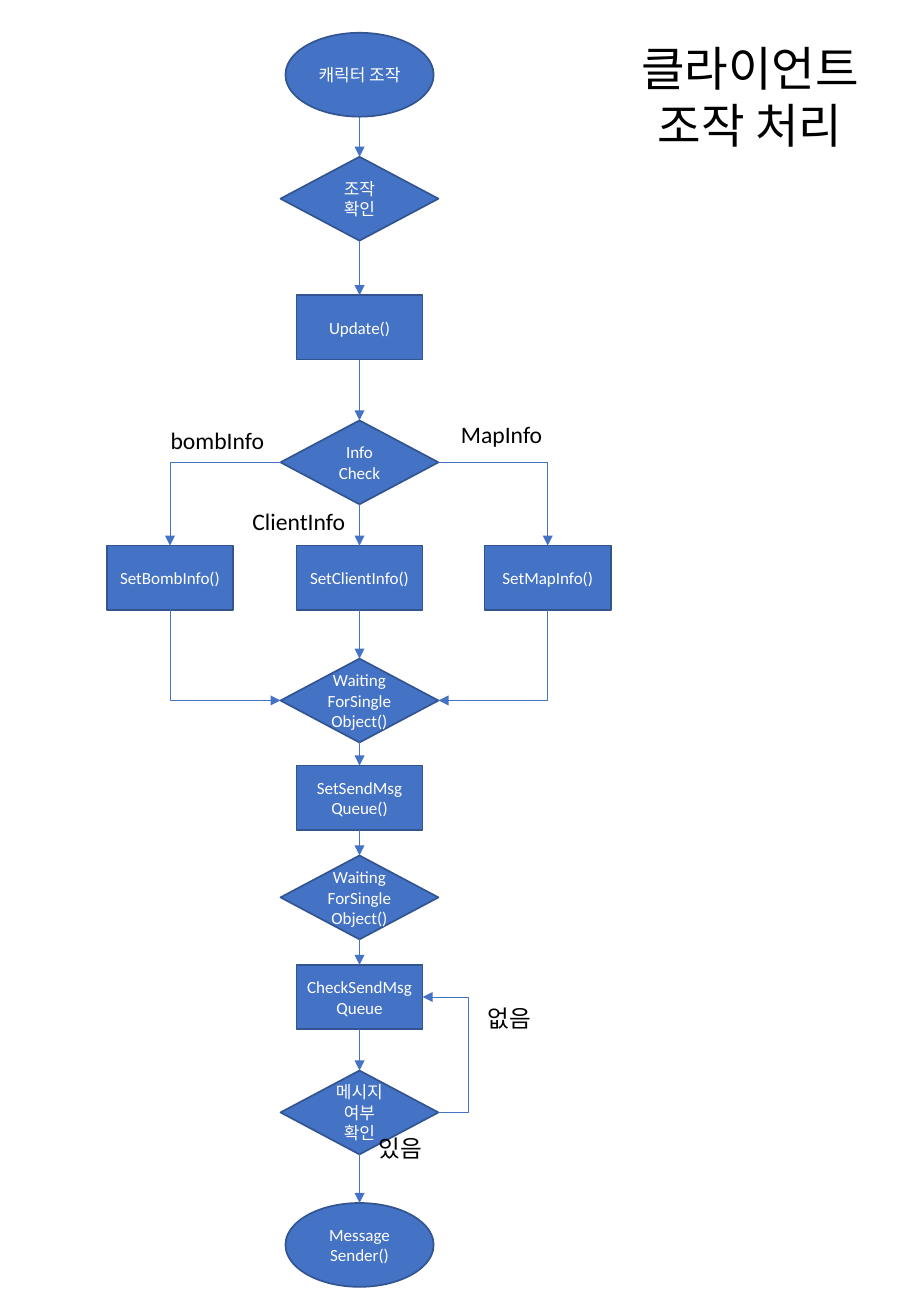
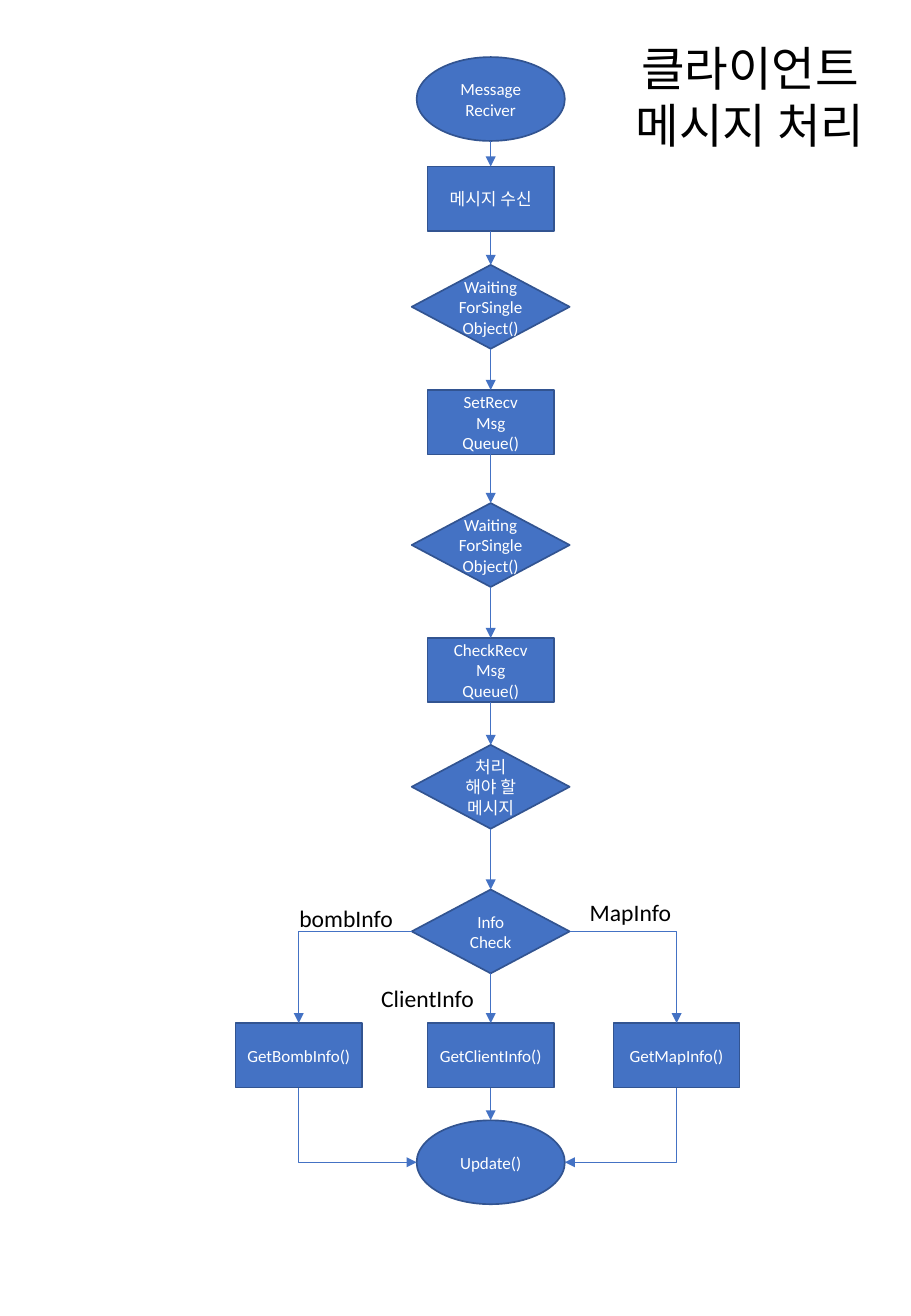
"""Build two flowcharts of client input and client message handling."""
from dataclasses import dataclass

from lxml import etree
from pptx import Presentation
from pptx.dml.color import RGBColor
from pptx.enum.shapes import MSO_CONNECTOR, MSO_SHAPE
from pptx.enum.text import MSO_ANCHOR, MSO_AUTO_SIZE, PP_ALIGN
from pptx.oxml.ns import qn
from pptx.util import Inches, Pt

OVAL, RHOMB, BOX = MSO_SHAPE.OVAL, MSO_SHAPE.DIAMOND, MSO_SHAPE.RECTANGLE
STRAIGHT, ELBOW = MSO_CONNECTOR.STRAIGHT, MSO_CONNECTOR.ELBOW
TOP, MIDDLE = MSO_ANCHOR.TOP, MSO_ANCHOR.MIDDLE
CENTER, GROW = PP_ALIGN.CENTER, MSO_AUTO_SIZE.SHAPE_TO_FIT_TEXT
UP, LEFT, DOWN, RIGHT = range(4)


@dataclass(frozen=True)
class Theme:
    font: str = "Calibri"
    fill: str = "4472C4"
    edge: str = "325491"
    dark: str = "000000"
    light: str = "FFFFFF"
    title: float = 28.1
    label: float = 14
    node: float = 10.1
    rim: float = 1
    wire: float = 0.5


THEME = Theme()
PAGE = 7.5, 10.83
TITLE = 5.03, 0.27, 2.29, 1.05
SIZES = {OVAL: (1.22, 0.69), RHOMB: (1.3, 0.69), BOX: (1.04, 0.53)}
LABEL = 1.04, 0.34
SHORT = 0.63, 0.34
REACH = 0.25
FORKS = [("bombInfo", -1.69, 0), ("ClientInfo", -1.02, 0.66),
         ("MapInfo", 0.65, -0.05)]
WAIT = "Waiting\nForSingleObject()"

CHARTS = [
    {
        "title": "클라이언트\n조작 처리",
        "cols": (1.4, 2.96, 4.51),
        "nodes": [
            (OVAL, 0.27, "캐릭터 조작"),
            (RHOMB, 1.29, "조작 확인"),
            (BOX, 2.43, "Update()"),
            (RHOMB, 3.46, "Info Check"),
            (BOX, 4.49, "SetClientInfo()"),
            (RHOMB, 5.42, WAIT),
            (BOX, 6.3, "SetSendMsg\nQueue()"),
            (RHOMB, 7.04, WAIT),
            (BOX, 7.94, "CheckSendMsg\nQueue"),
            (RHOMB, 8.81, "메시지 여부 확인"),
            (OVAL, 9.9, "Message\nSender()"),
        ],
        "fork": 3,
        "sides": ("SetBombInfo()", "SetMapInfo()"),
        "origin": (2.96, 3.46),
        "loops": [(9, 8)],
        "notes": [("있음", 2.98, 9.28), ("없음", 3.88, 8.21)],
    },
    {
        "title": "클라이언트\n메시지 처리",
        "cols": (2.46, 4.04, 5.57),
        "nodes": [
            (OVAL, 0.47, "Message\nReciver"),
            (BOX, 1.37, "메시지 수신"),
            (RHOMB, 2.18, WAIT),
            (BOX, 3.21, "SetRecv\nMsg\nQueue()"),
            (RHOMB, 4.14, WAIT),
            (BOX, 5.25, "CheckRecv\nMsg\nQueue()"),
            (RHOMB, 6.13, "처리 해야 할 메시지"),
            (RHOMB, 7.32, "Info Check"),
            (BOX, 8.42, "GetClientInfo()"),
            (OVAL, 9.22, "Update()"),
        ],
        "fork": 7,
        "sides": ("GetBombInfo()", "GetMapInfo()"),
        "origin": (4.02, 7.39),
        "loops": [],
        "notes": [],
    },
]


def write(frame, text, size, color, anchor):
    frame.text = text
    frame.word_wrap = True
    frame.vertical_anchor = anchor
    for para in frame.paragraphs:
        para.alignment = CENTER
        para.font.name = THEME.font
        para.font.size = Pt(size)
        para.font.color.rgb = RGBColor.from_string(color)


def head(slide, text):
    title = slide.shapes.title
    title.left, title.top, title.width, title.height = map(Inches, TITLE)
    write(title.text_frame, text, THEME.title, THEME.dark, TOP)
    title.text_frame.auto_size = GROW


def label(slide, text, left, top, size):
    box = slide.shapes.add_textbox(*map(Inches, (left, top, *size)))
    write(box.text_frame, text, THEME.label, THEME.dark, TOP)
    box.text_frame.auto_size = GROW


def node(slide, kind, mid, top, text):
    wide, high = SIZES[kind]
    shape = slide.shapes.add_shape(
        kind, *map(Inches, (mid - wide / 2, top, wide, high)))
    shape.shadow.inherit = False
    shape.fill.solid()
    shape.fill.fore_color.rgb = RGBColor.from_string(THEME.fill)
    shape.line.color.rgb = RGBColor.from_string(THEME.edge)
    shape.line.width = Pt(THEME.rim)
    frame = shape.text_frame
    frame.margin_left = frame.margin_right = Inches(0.06)
    frame.margin_top = frame.margin_bottom = Inches(0.03)
    write(frame, text, THEME.node, THEME.light, MIDDLE)
    return shape


def spot(shape, side):
    across = {LEFT: 0, RIGHT: 2}.get(side, 1)
    down = {UP: 0, DOWN: 2}.get(side, 1)
    return (shape.left + shape.width * across // 2,
            shape.top + shape.height * down // 2)


def pin(end, shape, side):
    end.id = shape.shape_id
    end.idx = side * (2 if shape.auto_shape_type == OVAL else 1)


def join(slide, start, out, goal, into):
    x1, y1 = spot(start, out)
    x2, y2 = spot(goal, into)
    wide, high = x2 - x1, y2 - y1
    straight = (out, into) == (DOWN, UP)
    turned = out == DOWN and not straight
    ends = x1, y1, x2, y2
    if turned:
        sign = 1 if wide < 0 else -1
        cx, cy = (x1 + x2) // 2, (y1 + y2) // 2
        dx, dy = sign * high // 2, sign * wide // 2
        ends = cx - dx, cy + dy, cx + dx, cy - dy
    wire = slide.shapes.add_connector(STRAIGHT if straight else ELBOW, *ends)
    wire.line.color.rgb = RGBColor.from_string(THEME.fill)
    wire.line.width = Pt(THEME.wire)
    props = wire._element.spPr
    etree.SubElement(props.find(qn("a:ln")), qn("a:tailEnd"), type="triangle")
    etree.SubElement(props, qn("a:effectLst"))
    geom = props.find(qn("a:prstGeom"))
    if out == into:
        bend = round(100000 * Inches(REACH) / wide)
        etree.SubElement(geom.find(qn("a:avLst")), qn("a:gd"),
                         name="adj1", fmla=f"val {bend}")
    elif not straight:
        geom.set("prst", "bentConnector2")
    if turned:
        angle = 90 if sign > 0 else 270
        props.find(qn("a:xfrm")).set("rot", str(angle * 60000))
    links = wire._element.nvCxnSpPr.cNvCxnSpPr
    pin(links.get_or_add_stCxn(), start, out)
    pin(links.get_or_add_endCxn(), goal, into)


def draw(slide, chart):
    head(slide, chart["title"])
    west, mid, east = chart["cols"]
    chain = [node(slide, kind, mid, top, text)
             for kind, top, text in chart["nodes"]]
    for start, goal in zip(chain, chain[1:]):
        join(slide, start, DOWN, goal, UP)
    fork = chart["fork"]
    row = chart["nodes"][fork + 1][1]
    for col, side, text in zip((west, east), (LEFT, RIGHT), chart["sides"]):
        branch = node(slide, BOX, col, row, text)
        join(slide, chain[fork], side, branch, UP)
        join(slide, branch, DOWN, chain[fork + 2], side)
    for start, goal in chart["loops"]:
        join(slide, chain[start], RIGHT, chain[goal], RIGHT)
    left, top = chart["origin"]
    for text, dx, dy in FORKS:
        label(slide, text, left + dx, top + dy, LABEL)
    for text, x, y in chart["notes"]:
        label(slide, text, x, y, SHORT)


def main():
    deck = Presentation()
    deck.slide_width, deck.slide_height = map(Inches, PAGE)
    layout = deck.slide_layouts.get_by_name("Title Only")
    for chart in CHARTS:
        draw(deck.slides.add_slide(layout), chart)
    deck.save("out.pptx")


main()
